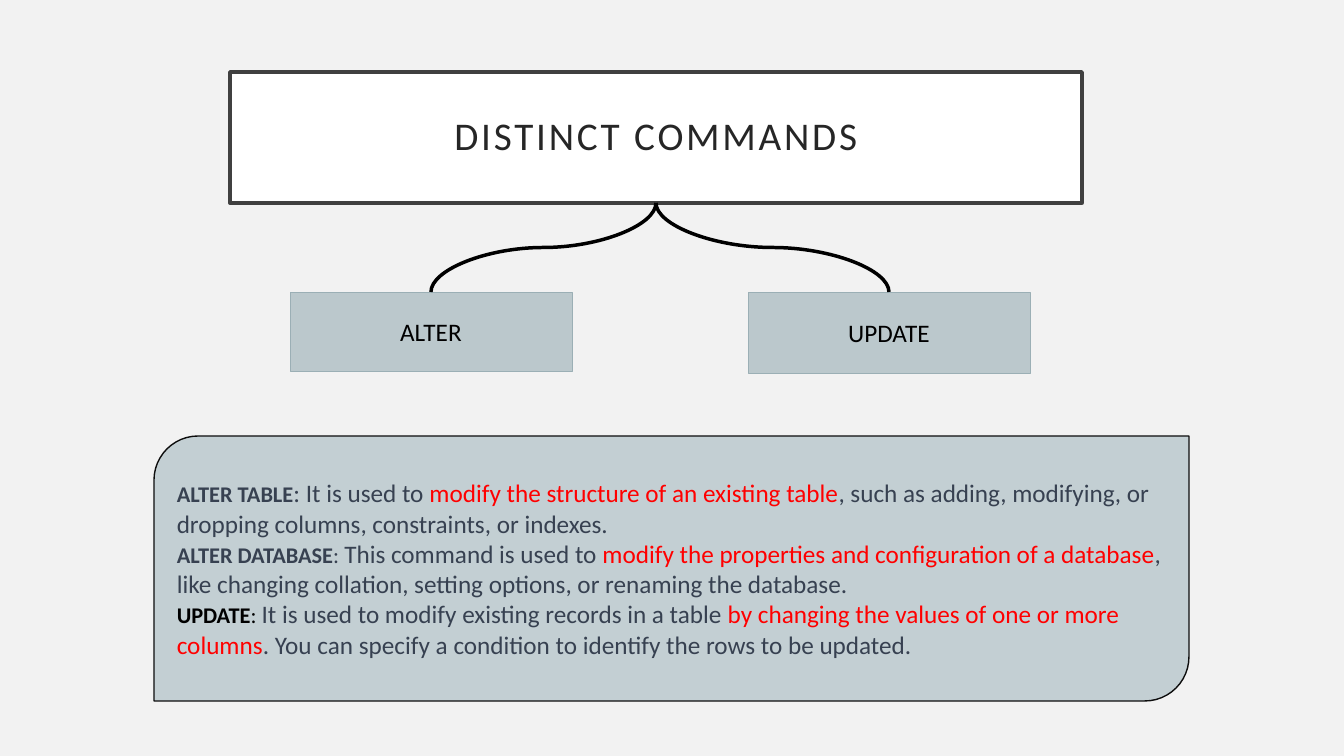
from lxml.etree import SubElement
from pptx import Presentation
from pptx.dml.color import RGBColor
from pptx.enum.shapes import MSO_CONNECTOR, MSO_SHAPE
from pptx.enum.text import MSO_ANCHOR, PP_ALIGN
from pptx.oxml.ns import qn
from pptx.util import Emu, Pt

EMU_PER_PX = 914400 / 100.8
FONT = "Calibri"
COLORS = {
    "background": "F2F2F2",
    "white": "FFFFFF",
    "title_border": "404040",
    "title_text": "262626",
    "command_top": "BBC8CC",
    "command_bottom": "B8C6CB",
    "command_border": "9BAFB5",
    "panel": "C3CFD3",
    "panel_border": "0D0D0D",
    "body": "374151",
    "key": "FF0000",
    "black": "000000",
}
# Each run: text, size, colour, bold
DEFINITIONS = [
    [
        ("ALTER TABLE", 16, "body", True),
        (": It is used to ", 18, "body", False),
        ("modify the structure of an existing table", 18, "key", False),
        (", such as adding, modifying, or dropping columns, constraints, or indexes.",
         18, "body", False),
    ],
    [
        ("ALTER DATABASE", 16, "body", True),
        (": ", 16, "body", False),
        ("This command is used to ", 18, "body", False),
        ("modify the properties and configuration of a database", 18, "key", False),
        (", like changing collation, setting options, or renaming the database.",
         18, "body", False),
    ],
    [
        ("UPDATE", 16, "black", True),
        (": ", 16, "black", False),
        ("It is used to modify existing records in a table ", 18, "body", False),
        ("by changing the values of one or more columns", 18, "key", False),
        (". You can specify a condition to identify the rows to be updated.",
         18, "body", False),
    ],
]


def px(length):
    return Emu(round(length * EMU_PER_PX))


def color(name):
    return RGBColor.from_string(COLORS[name])


def add_box(slide, preset, bounds, border, border_width):
    box = slide.shapes.add_shape(preset, *map(px, bounds))
    box.shadow.inherit = False
    box.line.color.rgb = color(border)
    box.line.width = Pt(border_width)
    box.text_frame.word_wrap = True
    box.text_frame.vertical_anchor = MSO_ANCHOR.MIDDLE
    return box


def fill_solid(box, fill):
    box.fill.solid()
    box.fill.fore_color.rgb = color(fill)


def add_run(paragraph, text, size, ink, bold=False):
    run = paragraph.add_run()
    run.text = text
    run.font.name = FONT
    run.font.size = Pt(size)
    run.font.bold = bold
    run.font.color.rgb = color(ink)
    return run


def add_title(slide, text, bounds):
    title = add_box(slide, MSO_SHAPE.RECTANGLE, bounds, "title_border", 2.5)
    fill_solid(title, "white")
    frame = title.text_frame
    frame.margin_left = frame.margin_right = px(20)
    frame.margin_top = frame.margin_bottom = px(20)
    heading = frame.paragraphs[0]
    heading.alignment = PP_ALIGN.CENTER
    heading.line_spacing = 0.9
    run = add_run(heading, text, 28, "title_text")
    run.font._element.set("spc", "200")
    return title


def add_command(slide, text, bounds):
    command = add_box(slide, MSO_SHAPE.RECTANGLE, bounds, "command_border", 0.5)
    command.fill.gradient()
    command.fill.gradient_angle = 270
    for stop, shade in zip(command.fill.gradient_stops, ("command_top", "command_bottom")):
        stop.color.rgb = color(shade)
    label = command.text_frame.paragraphs[0]
    label.alignment = PP_ALIGN.CENTER
    add_run(label, text, 18, "black")
    return command


def add_definitions(slide, definitions, bounds):
    panel = add_box(slide, MSO_SHAPE.ROUND_2_DIAG_RECTANGLE, bounds, "panel_border", 1)
    fill_solid(panel, "panel")
    frame = panel.text_frame
    for index, runs in enumerate(definitions):
        paragraph = frame.add_paragraph() if index else frame.paragraphs[0]
        paragraph.alignment = PP_ALIGN.LEFT
        for run in runs:
            add_run(paragraph, *run)


def add_branch(slide, command, title):
    """Curve from the command's top to the title's bottom, vertical at both ends."""
    branch = slide.shapes.add_connector(MSO_CONNECTOR.CURVE, 0, 0, 0, 0)
    branch.begin_connect(command, 0)
    branch.end_connect(title, 2)
    branch.line.color.rgb = color("black")
    branch.line.width = Pt(2.5)

    # A quarter turn swaps the sides of the box around its centre.
    center_x = branch.left + branch.width // 2
    center_y = branch.top + branch.height // 2
    goes_right = branch.begin_x < branch.end_x
    width, height = branch.height, branch.width
    branch.left, branch.top = center_x - width // 2, center_y - height // 2
    branch.width, branch.height = width, height
    properties = branch._element.spPr
    transform = properties.find(qn("a:xfrm"))
    transform.set("rot", str((90 if goes_right else 270) * 60000))
    transform.set("flipH", "1" if goes_right else "0")
    transform.set("flipV", "1")
    SubElement(properties, qn("a:effectLst"))


def main():
    deck = Presentation()
    deck.slide_width, deck.slide_height = px(1344), px(756)
    slide = deck.slides.add_slide(deck.slide_layouts[6])
    slide.background.fill.solid()
    slide.background.fill.fore_color.rgb = color("background")

    title = add_title(slide, "DISTINCT COMMANDS", (230, 72, 852, 131))
    alter = add_command(slide, "ALTER", (290, 292, 282, 79))
    update = add_command(slide, "UPDATE", (748, 292, 282, 81))
    add_definitions(slide, DEFINITIONS, (154, 436, 1035, 265))
    for command in (alter, update):
        add_branch(slide, command, title)

    deck.save("out.pptx")


if __name__ == "__main__":
    main()
